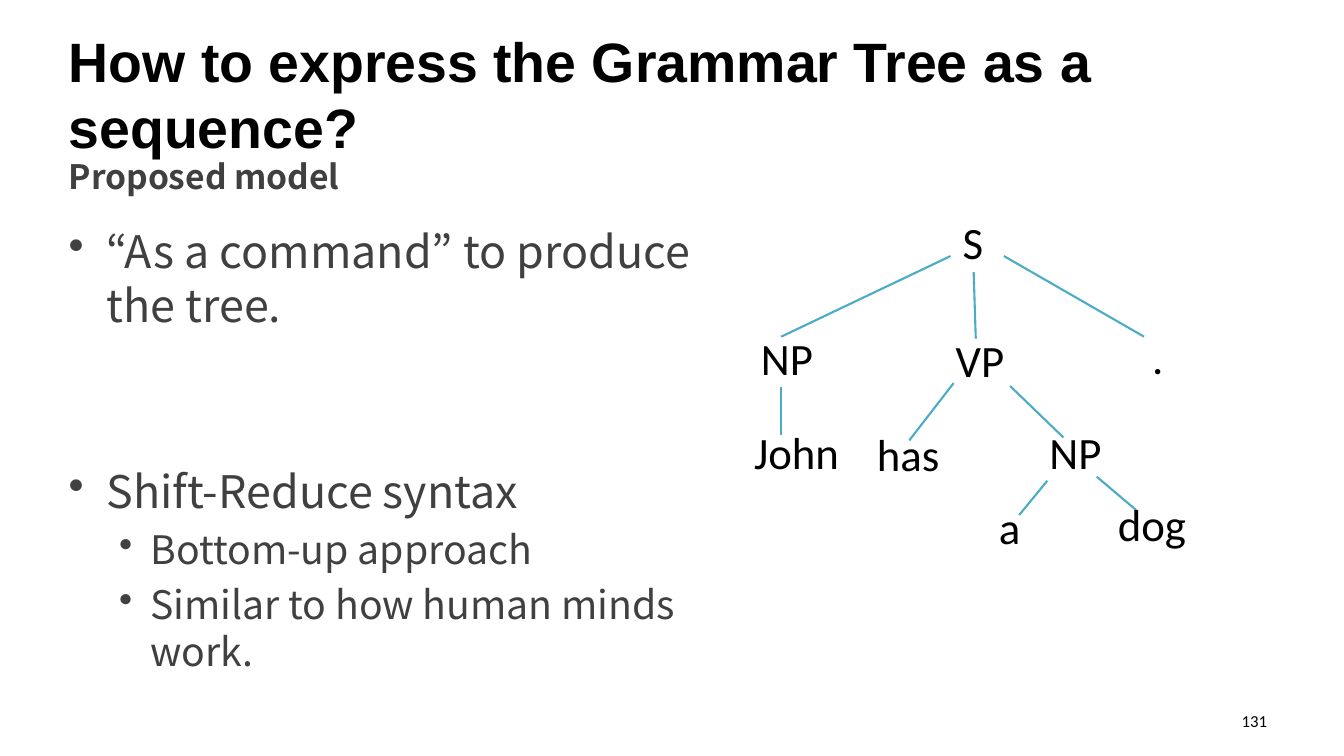
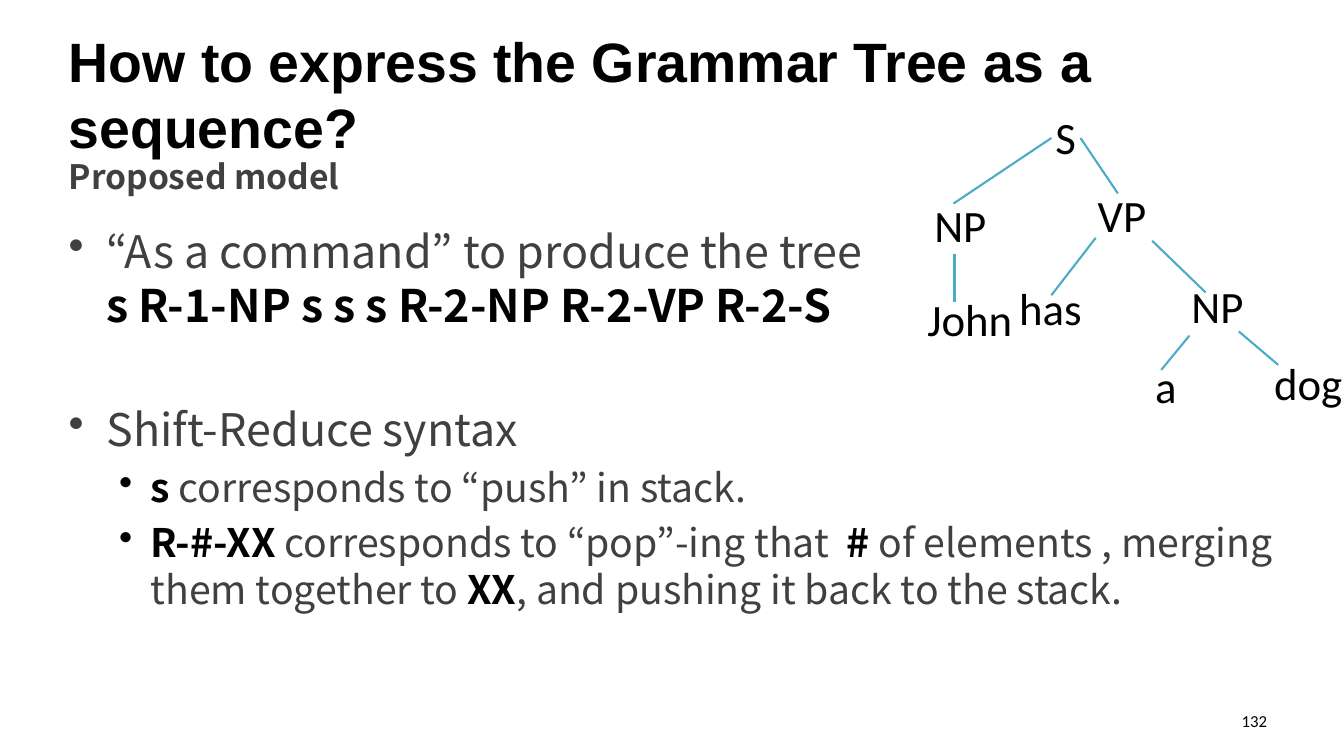
from dataclasses import dataclass

from lxml import etree
from pptx import Presentation
from pptx.dml.color import RGBColor
from pptx.enum.shapes import MSO_CONNECTOR
from pptx.enum.text import MSO_ANCHOR, PP_ALIGN
from pptx.oxml.ns import qn
from pptx.slide import Slide
from pptx.text.text import TextFrame, _Paragraph
from pptx.util import Pt

BLACK = RGBColor(0x00, 0x00, 0x00)
GRAY = RGBColor(0x40, 0x40, 0x40)
TEAL = RGBColor(0x4B, 0xAC, 0xC6)

HEADING_FONT = "Arial"
BODY_FONT = "Noto Sans CJK KR"
LABEL_FONT = "Calibri"

STRAIGHT = MSO_CONNECTOR.STRAIGHT
TOP = MSO_ANCHOR.TOP
MIDDLE = MSO_ANCHOR.MIDDLE
RIGHT = PP_ALIGN.RIGHT

SLIDE_WIDTH = 960
SLIDE_HEIGHT = 540
MARGIN = 42
CONTENT_WIDTH = 876
LABEL_WIDTH = 64
LINE_BREAK = "\n"


@dataclass(frozen=True)
class Phrase:
    text: str
    strong: bool = False


@dataclass(frozen=True)
class Level:
    size: float
    indent: float
    hanging: float


@dataclass(frozen=True)
class Bullet:
    phrases: tuple[Phrase, ...]
    level: int = 0
    extra_gap: float = 0


@dataclass(frozen=True)
class Label:
    text: str
    left: float
    top: float


@dataclass(frozen=True)
class Branch:
    x1: float
    y1: float
    x2: float
    y2: float


@dataclass(frozen=True)
class Subtree:
    labels: tuple[Label, ...]
    branches: tuple[Branch, ...] = ()


@dataclass(frozen=True)
class Placement:
    subtree: Subtree
    left: float
    top: float


@dataclass(frozen=True)
class Page:
    number: str
    body_width: float
    bullets: tuple[Bullet, ...]
    tree: tuple[Placement, ...]


LEVELS = (Level(32, 27, 27), Level(28, 58.5, 22.5))

SUBJECT = Subtree(
    (Label("NP", 0, 0), Label("John", -5, 67)),
    (Branch(14.4, 36, 14.4, 70),),
)
PREDICATE = Subtree(
    (Label("VP", 0, 0), Label("has", -56.2, 67), Label("NP", 67, 65.5)),
    (
        Branch(-33.1, 72.7, -1.4, 31.7),
        Branch(38.9, 33.8, 77, 70.6),
        Branch(45.4, 126, 65.5, 101.5),
        Branch(100.8, 98.6, 128.9, 122.4),
    ),
)
OBJECT_WORDS = Subtree((Label("a", 0, 0), Label("dog", 85, -2.5)))
SENTENCE_WITH_PERIOD = Subtree(
    (Label("S", 0, 0), Label(".", 135.4, 82.1)),
    (
        Branch(-129.6, 82.8, -8.6, 25.2),
        Branch(29.5, 25.2, 129.6, 82.8),
        Branch(7.9, 36.7, 9.4, 84.2),
    ),
)
SENTENCE = Subtree(
    (Label("S", 0, 0),),
    (Branch(-72.7, 62.6, -2.8, 15.8), Branch(18, 15.8, 44.7, 55.4)),
)

PAGES = (
    Page(
        "131",
        497.5,
        (
            Bullet((Phrase("“As a command” to produce the tree."),)),
            Bullet((Phrase("Shift-Reduce syntax"),), extra_gap=88.5),
            Bullet((Phrase("Bottom-up approach"),), 1),
            Bullet((Phrase("Similar to how human minds work."),), 1),
        ),
        (
            Placement(SENTENCE_WITH_PERIOD, 687.6, 157.7),
            Placement(SUBJECT, 543.6, 240.5),
            Placement(PREDICATE, 682.6, 241.9),
            Placement(OBJECT_WORDS, 713.5, 361.4),
        ),
    ),
    Page(
        "132",
        CONTENT_WIDTH,
        (
            Bullet((
                Phrase("“As a command” to produce the tree"),
                Phrase(LINE_BREAK),
                Phrase("s R-1-NP s s s R-2-NP R-2-VP R-2-S", True),
            )),
            Bullet((Phrase("Shift-Reduce syntax"),), extra_gap=44),
            Bullet((
                Phrase("s ", True),
                Phrase("corresponds to “push” in stack."),
            ), 1),
            Bullet((
                Phrase("R-#-XX ", True),
                Phrase("corresponds to “pop”-ing that  "),
                Phrase("# ", True),
                Phrase("of elements , merging them together to "),
                Phrase("XX", True),
                Phrase(", and pushing it back to the stack."),
            ), 1),
        ),
        (
            Placement(SENTENCE, 753.8, 82.8),
            Placement(SUBJECT, 667.4, 145.4),
            Placement(PREDICATE, 784.1, 138.2),
            Placement(OBJECT_WORDS, 825.1, 260.6),
        ),
    ),
)


def add_frame(slide: Slide, left: float, top: float, width: float, height: float,
              anchor: MSO_ANCHOR = TOP, wrap: bool = True) -> TextFrame:
    frame = slide.shapes.add_textbox(Pt(left), Pt(top), Pt(width), Pt(height)).text_frame
    frame.word_wrap = wrap
    frame.vertical_anchor = anchor
    return frame


def add_run(paragraph: _Paragraph, text: str, font: str, size: float,
            color: RGBColor, bold: bool = False) -> None:
    run = paragraph.add_run()
    run.text = text
    run.font.name = font
    run.font.size = Pt(size)
    run.font.bold = bold
    run.font.color.rgb = color


def add_heading(slide: Slide) -> None:
    title = add_frame(slide, MARGIN, 31.7, CONTENT_WIDTH, 69.8, MIDDLE).paragraphs[0]
    add_run(title, "How to express the Grammar Tree as a sequence?", HEADING_FONT, 39.6, BLACK, True)
    subtitle = add_frame(slide, MARGIN, 108, CONTENT_WIDTH, 27.4).paragraphs[0]
    add_run(subtitle, "Proposed model", BODY_FONT, 24, GRAY, True)


def add_page_number(slide: Slide, number: str) -> None:
    paragraph = add_frame(slide, 688.3, 500.4, 223.9, 28.8, MIDDLE).paragraphs[0]
    paragraph.alignment = RIGHT
    add_run(paragraph, number, LABEL_FONT, 12, BLACK)


def add_bullets(slide: Slide, width: float, bullets: tuple[Bullet, ...]) -> None:
    frame = add_frame(slide, MARGIN, 156.2, width, 301)
    for index, bullet in enumerate(bullets):
        paragraph = frame.add_paragraph() if index else frame.paragraphs[0]
        level = LEVELS[bullet.level]
        properties = paragraph._p.get_or_add_pPr()
        properties.set("marL", str(Pt(level.indent)))
        properties.set("indent", str(-Pt(level.hanging)))
        etree.SubElement(properties, qn("a:buChar")).set("char", "•")
        paragraph.level = bullet.level
        if index:
            paragraph.space_before = Pt(level.size * 0.2 + bullet.extra_gap)
        for phrase in bullet.phrases:
            if phrase.text == LINE_BREAK:
                paragraph.add_line_break()
            else:
                color = BLACK if phrase.strong else GRAY
                add_run(paragraph, phrase.text, BODY_FONT, level.size, color, phrase.strong)


def add_label(slide: Slide, text: str, left: float, top: float) -> None:
    width = min(LABEL_WIDTH, SLIDE_WIDTH - left)
    frame = add_frame(slide, left, top, width, 41, wrap=False)
    frame.margin_left = frame.margin_right = frame.margin_top = frame.margin_bottom = 0
    paragraph = frame.paragraphs[0]
    paragraph.line_spacing = 0.9
    add_run(paragraph, text, LABEL_FONT, 32, BLACK)


def add_branch(slide: Slide, x1: float, y1: float, x2: float, y2: float) -> None:
    connector = slide.shapes.add_connector(STRAIGHT, Pt(x1), Pt(y1), Pt(x2), Pt(y2))
    connector.line.color.rgb = TEAL
    connector.line.width = Pt(1.5)
    etree.SubElement(connector._element.spPr, qn("a:effectLst"))


def add_subtree(slide: Slide, placement: Placement) -> None:
    left, top = placement.left, placement.top
    for branch in placement.subtree.branches:
        add_branch(slide, left + branch.x1, top + branch.y1, left + branch.x2, top + branch.y2)
    for label in placement.subtree.labels:
        add_label(slide, label.text, left + label.left, top + label.top)


def main() -> None:
    presentation = Presentation()
    presentation.slide_width = Pt(SLIDE_WIDTH)
    presentation.slide_height = Pt(SLIDE_HEIGHT)
    blank = presentation.slide_layouts[6]
    for page in PAGES:
        slide = presentation.slides.add_slide(blank)
        add_heading(slide)
        add_page_number(slide, page.number)
        add_bullets(slide, page.body_width, page.bullets)
        for placement in page.tree:
            add_subtree(slide, placement)
    presentation.save("out.pptx")


if __name__ == "__main__":
    main()
